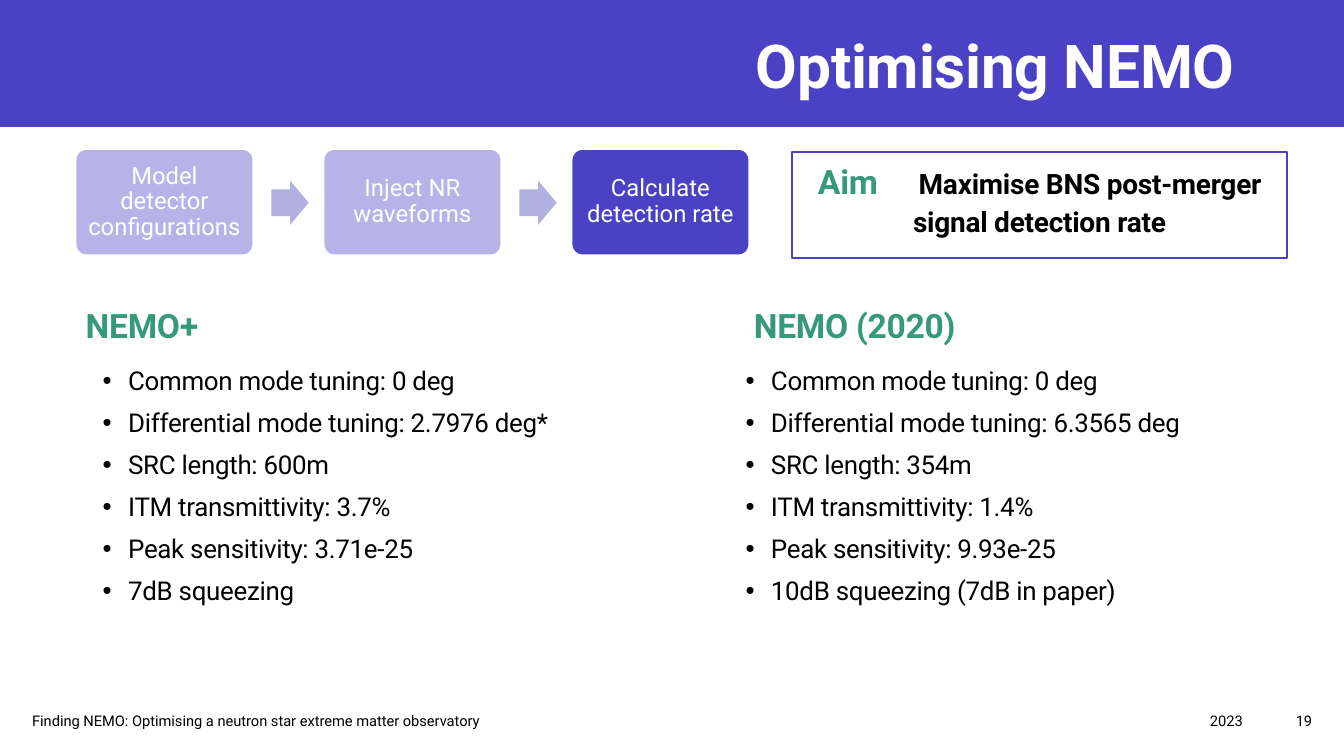
"""Build the slide on optimising NEMO and save it."""
from dataclasses import dataclass

from lxml import etree
from pptx import Presentation
from pptx.dml.color import RGBColor
from pptx.enum.shapes import MSO_SHAPE
from pptx.enum.text import MSO_ANCHOR, PP_ALIGN
from pptx.oxml.ns import qn
from pptx.util import Cm, Pt

RECT = MSO_SHAPE.RECTANGLE
ROUND = MSO_SHAPE.ROUNDED_RECTANGLE
ARROW = MSO_SHAPE.RIGHT_ARROW
TOP, MIDDLE = MSO_ANCHOR.TOP, MSO_ANCHOR.MIDDLE
LEFT, CENTER, RIGHT = PP_ALIGN.LEFT, PP_ALIGN.CENTER, PP_ALIGN.RIGHT


@dataclass(frozen=True)
class Theme:
    font: str = "Roboto"
    main: str = "4A41C5"
    pale: str = "B7B3E8"
    arrow: str = "B2B0DF"
    green: str = "37997B"
    white: str = "FFFFFF"
    black: str = "000000"
    title: float = 43.2
    head: float = 24
    aim: float = 20
    body: float = 18.5
    step: float = 17
    foot: float = 10.5


@dataclass(frozen=True)
class Box:
    x: float
    y: float
    w: float
    h: float

    def cm(self) -> tuple:
        return Cm(self.x), Cm(self.y), Cm(self.w), Cm(self.h)


@dataclass(frozen=True)
class Step:
    text: str
    fill: str


@dataclass(frozen=True)
class Column:
    head: str
    head_x: float
    list_x: float
    items: tuple


@dataclass(frozen=True)
class Note:
    text: str
    x: float
    w: float
    align: PP_ALIGN


THEME = Theme()
STEPS = (
    Step("Model detector configurations", THEME.pale),
    Step("Inject NR waveforms", THEME.pale),
    Step("Calculate detection rate", THEME.main),
)
COLUMNS = (
    Column("NEMO+", 1.91, 2.34, (
        "Common mode tuning: 0 deg",
        "Differential mode tuning: 2.7976 deg*",
        "SRC length: 600m",
        "ITM transmittivity: 3.7%",
        "Peak sensitivity: 3.71e-25",
        "7dB squeezing",
    )),
    Column("NEMO (2020)", 18.75, 18.54, (
        "Common mode tuning: 0 deg",
        "Differential mode tuning: 6.3565 deg",
        "SRC length: 354m",
        "ITM transmittivity: 1.4%",
        "Peak sensitivity: 9.93e-25",
        "10dB squeezing (7dB in paper)",
    )),
)
NOTES = (
    Note("Finding NEMO: Optimising a neutron star extreme matter observatory", 0.56, 13.46, LEFT),
    Note("2023", 19.48, 12.09, RIGHT),
    Note("19", 31.57, 1.75, RIGHT),
)


def write(para, text: str, *, size: float, color: str = THEME.black, bold: bool = False,
          align: PP_ALIGN = LEFT, line: float = 1.0, before: float = 0,
          track: float = 0, bullet: bool = False) -> None:
    """Add one formatted run to a paragraph."""
    if bullet:
        props = para._p.get_or_add_pPr()
        props.set("marL", str(Cm(0.64)))
        props.set("indent", str(-Cm(0.64)))
        etree.SubElement(props, qn("a:buFont")).set("typeface", "Arial")
        etree.SubElement(props, qn("a:buChar")).set("char", "•")
    para.alignment = align
    para.line_spacing = line
    para.space_before = Pt(before)
    run = para.add_run()
    run.text = text
    font = run.font
    font.name, font.size, font.bold = THEME.font, Pt(size), bold
    font.color.rgb = RGBColor.from_string(color)
    if track:
        run._r.get_or_add_rPr().set("spc", str(round(track * 100)))


def add_text(slide, box: Box, anchor: MSO_ANCHOR = TOP):
    """Add an empty wrapping text box and return its frame."""
    frame = slide.shapes.add_textbox(*box.cm()).text_frame
    frame.word_wrap = True
    frame.vertical_anchor = anchor
    return frame


def add_shape(slide, kind: MSO_SHAPE, box: Box, fill: str = "", line: str = "",
              width: float = 1, adjust: tuple = ()):
    """Add a flat preset shape."""
    shape = slide.shapes.add_shape(kind, *box.cm())
    shape.shadow.inherit = False
    for i, value in enumerate(adjust):
        shape.adjustments[i] = value
    if fill:
        shape.fill.solid()
        shape.fill.fore_color.rgb = RGBColor.from_string(fill)
    else:
        shape.fill.background()
    if line:
        shape.line.color.rgb = RGBColor.from_string(line)
        shape.line.width = Pt(width)
    else:
        shape.line.fill.background()
    return shape


def add_title(slide) -> None:
    """Draw the band and put the title on it."""
    title = slide.shapes.title
    band = add_shape(slide, RECT, Box(0, 0, 33.87, 3.2), THEME.main)
    title.element.addprevious(band.element)
    title.left, title.top, title.width, title.height = Box(3.48, 0.53, 27.89, 2.16).cm()
    title.text_frame.vertical_anchor = MIDDLE
    write(title.text_frame.paragraphs[0], "Optimising NEMO", size=THEME.title,
          color=THEME.white, bold=True, align=RIGHT, track=-0.2)


def add_steps(slide) -> None:
    """Draw the row of steps with arrows between them."""
    for i, step in enumerate(STEPS):
        x = 1.91 + 6.25 * i
        if i:
            add_shape(slide, ARROW, Box(x - 1.32, 4.55, 0.94, 1.12), THEME.arrow, adjust=(0.6, 0.5))
        shape = add_shape(slide, ROUND, Box(x, 3.76, 4.47, 2.67), step.fill, THEME.white, adjust=(0.1,))
        frame = shape.text_frame
        frame.word_wrap = True
        frame.vertical_anchor = MIDDLE
        frame.margin_left = frame.margin_right = Cm(0.2)
        write(frame.paragraphs[0], step.text, size=THEME.step, color=THEME.white, align=CENTER, line=0.9)


def add_aim(slide) -> None:
    """Draw the framed aim."""
    frame = add_shape(slide, RECT, Box(19.96, 3.84, 12.47, 2.67), line=THEME.main, width=1.5).text_frame
    frame.word_wrap = True
    frame.vertical_anchor = TOP
    runs = (("Aim\t", THEME.head, THEME.green),
            ("Maximise BNS post-merger signal detection rate", THEME.aim, THEME.black))
    for text, size, color in runs:
        write(frame.paragraphs[0], text, size=size, color=color, bold=True,
              align=CENTER, line=1.1, track=-0.2)


def add_column(slide, col: Column) -> None:
    """Draw a heading with its bullet list."""
    head = add_text(slide, Box(col.head_x, 7.47, 13.21, 1.65))
    write(head.paragraphs[0], col.head, size=THEME.head, color=THEME.green,
          bold=True, line=1.1, track=-0.2)
    frame = add_text(slide, Box(col.list_x, 9.14, 13.89, 6.69))
    for i, item in enumerate(col.items):
        para = frame.add_paragraph() if i else frame.paragraphs[0]
        write(para, item, size=THEME.body, line=0.9, before=10 if i else 0, track=-0.2, bullet=True)


def main() -> None:
    """Build and save the deck."""
    deck = Presentation()
    deck.slide_width, deck.slide_height = Cm(33.87), Cm(19.05)
    slide = deck.slides.add_slide(deck.slide_layouts[5])
    add_title(slide)
    add_steps(slide)
    add_aim(slide)
    for col in COLUMNS:
        add_column(slide, col)
    for note in NOTES:
        frame = add_text(slide, Box(note.x, 17.65, note.w, 1.02), MIDDLE)
        write(frame.paragraphs[0], note.text, size=THEME.foot, align=note.align)
    deck.save("out.pptx")


if __name__ == "__main__":
    main()
